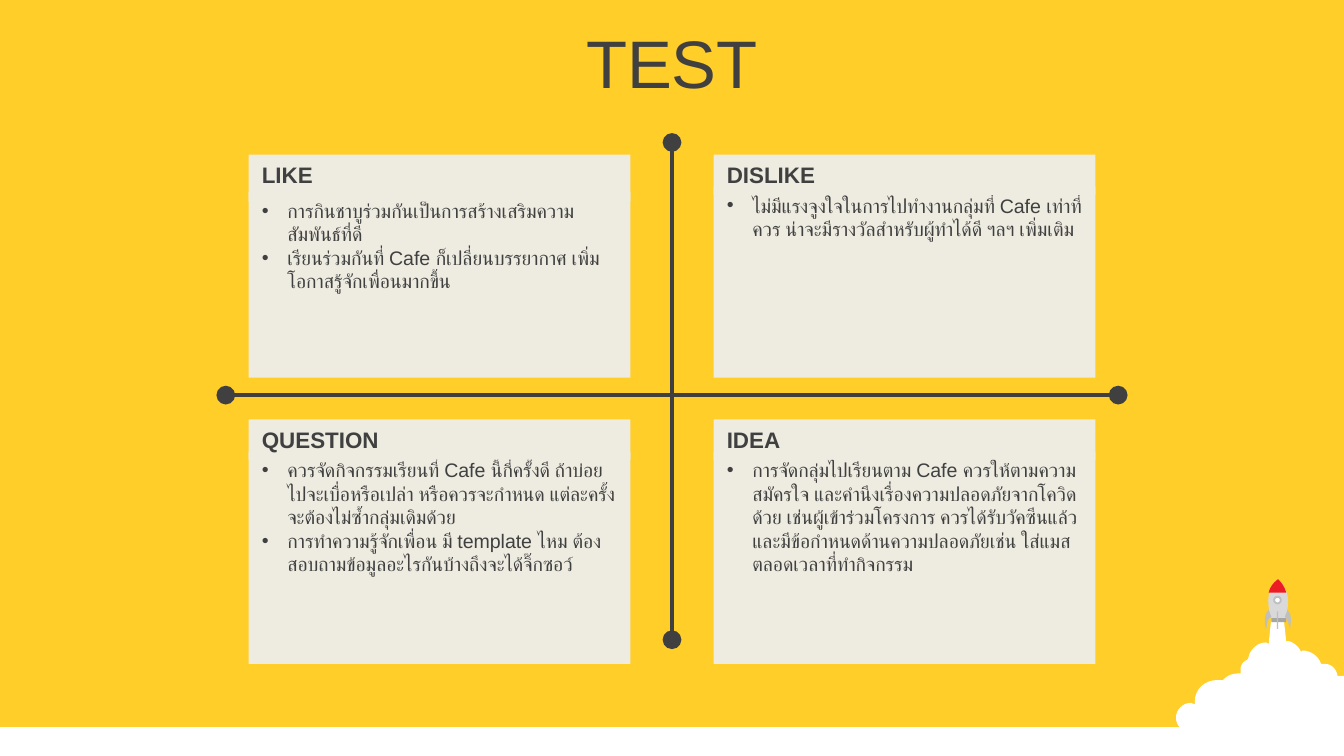
from lxml import etree
from pptx import Presentation
from pptx.dml.color import RGBColor
from pptx.enum.shapes import MSO_CONNECTOR, MSO_SHAPE
from pptx.enum.text import MSO_ANCHOR, PP_ALIGN
from pptx.oxml.ns import qn
from pptx.util import Inches, Pt

RECT, OVAL = MSO_SHAPE.RECTANGLE, MSO_SHAPE.OVAL
STRAIGHT = MSO_CONNECTOR.STRAIGHT
TOP, MIDDLE = MSO_ANCHOR.TOP, MSO_ANCHOR.MIDDLE
LEFT, CENTER = PP_ALIGN.LEFT, PP_ALIGN.CENTER

COLORS = {
    "yellow": "FFCE29", "ink": "404040", "card": "EEECE1", "white": "FFFFFF",
    "hull": "D9D9D9", "fin": "BFBFBF", "nozzle": "A6A6A6", "nose": "ED1C24",
}

# Outlines: a pair is a straight step, six numbers are a cubic curve.
CLOUD = [
    (9.46, 4.59), (9.55, 4.59), (9.57, 4.77), (9.59, 4.77),
    (9.62, 4.78, 9.65, 4.8, 9.67, 4.83), (9.68, 4.85), (9.69, 4.84),
    (9.75, 4.84, 9.81, 4.88, 9.83, 4.94), (9.84, 4.94), (9.86, 4.94),
    (9.9, 4.94, 9.94, 4.97, 9.95, 5.02), (9.95, 5.03), (10, 5.03), (10, 5.6),
    (9.98, 5.6), (9.94, 5.6, 9.9, 5.59, 9.87, 5.57), (9.85, 5.57),
    (9.83, 5.58, 9.81, 5.59, 9.78, 5.59), (9.75, 5.59, 9.73, 5.57, 9.71, 5.55),
    (9.69, 5.55), (9.67, 5.58, 9.64, 5.59, 9.6, 5.59),
    (9.57, 5.59, 9.54, 5.58, 9.52, 5.56), (9.49, 5.56),
    (9.45, 5.59, 9.4, 5.61, 9.34, 5.61), (9.23, 5.61, 9.17, 5.56, 9.13, 5.51),
    (9.11, 5.53, 9.07, 5.54, 9.04, 5.53), (9, 5.52, 8.94, 5.5, 8.93, 5.45),
    (8.92, 5.44), (8.91, 5.45, 8.89, 5.45, 8.86, 5.45),
    (8.8, 5.45, 8.75, 5.4, 8.75, 5.34), (8.75, 5.28, 8.8, 5.23, 8.86, 5.23),
    (8.89, 5.24), (8.89, 5.22), (8.89, 5.13, 8.96, 5.06, 9.06, 5.06),
    (9.1, 5.06), (9.11, 5.05), (9.14, 5.02, 9.18, 5.01, 9.23, 5.01),
    (9.23, 4.98), (9.23, 4.95, 9.25, 4.92, 9.28, 4.91), (9.29, 4.89),
    (9.3, 4.83, 9.36, 4.78, 9.42, 4.78), (9.44, 4.79),
]
HULL = [(9.46, 4.62), (9.44, 4.53, 9.4, 4.4, 9.51, 4.31),
        (9.62, 4.41, 9.58, 4.54, 9.56, 4.62)]
NOSE = [(9.51, 4.31), (9.54, 4.34, 9.56, 4.37, 9.57, 4.41), (9.44, 4.41),
        (9.45, 4.37, 9.47, 4.34, 9.51, 4.31)]
LEFT_FIN = [(9.44, 4.54), (9.46, 4.59), (9.42, 4.61, 9.43, 4.66, 9.42, 4.68),
            (9.41, 4.65, 9.4, 4.57, 9.44, 4.54)]
RIGHT_FIN = [(9.58, 4.54), (9.56, 4.59), (9.59, 4.61, 9.59, 4.66, 9.6, 4.68),
             (9.6, 4.65, 9.62, 4.57, 9.58, 4.54)]

CARD_X = (1.85, 5.31)
CARD_W = 2.84
# heading, column, heading top, heading height, body top, body bottom, bullets
CARDS = [
    ("LIKE", 0, 1.15, 0.35, 1.43, 2.81, [
        "การกินชาบูร่วมกันเป็นการสร้างเสริมความสัมพันธ์ที่ดี",
        "เรียนร่วมกันที่ Cafe ก็เปลี่ยนบรรยากาศ เพิ่มโอกาสรู้จักเพื่อนมากขึ้น"]),
    ("DISLIKE", 1, 1.15, 0.3, 1.39, 2.81, [
        "ไม่มีแรงจูงใจในการไปทำงานกลุ่มที่ Cafe เท่าที่ควร "
        "น่าจะมีรางวัลสำหรับผู้ทำได้ดี ฯลฯ เพิ่มเติม"]),
    ("QUESTION", 0, 3.12, 0.3, 3.36, 4.94, [
        "ควรจัดกิจกรรมเรียนที่ Cafe นี้กี่ครั้งดี ถ้าบ่อยไปจะเบื่อหรือเปล่า "
        "หรือควรจะกำหนด แต่ละครั้งจะต้องไม่ซ้ำกลุ่มเดิมด้วย",
        "การทำความรู้จักเพื่อน มี template ไหม "
        "ต้องสอบถามข้อมูลอะไรกันบ้างถึงจะได้จิ๊กซอว์"]),
    ("IDEA", 1, 3.12, 0.3, 3.36, 4.94, [
        "การจัดกลุ่มไปเรียนตาม Cafe ควรให้ตามความสมัครใจ "
        "และคำนึงเรื่องความปลอดภัยจากโควิดด้วย เช่นผู้เข้าร่วมโครงการ "
        "ควรได้รับวัคซีนแล้ว และมีข้อกำหนดด้านความปลอดภัยเช่น "
        "ใส่แมสตลอดเวลาที่ทำกิจกรรม"]),
]


def rgb(name):
    return RGBColor.from_string(COLORS[name])


def flatten(outline, steps=8):
    """Turn lines and cubic curves into a list of points."""
    points = [outline[0]]
    for step in outline[1:]:
        if len(step) == 2:
            points.append(step)
            continue
        knots = [points[-1], step[:2], step[2:4], step[4:]]
        for i in range(1, steps + 1):
            t = i / steps
            weights = ((1 - t) ** 3, 3 * t * (1 - t) ** 2, 3 * t * t * (1 - t), t ** 3)
            points.append(tuple(sum(w * k[axis] for w, k in zip(weights, knots))
                                for axis in (0, 1)))
    return points


class Deck:
    font = "Arial"

    def __init__(self, slide):
        self.slide = slide

    def paint(self, sp, fill, line=None):
        sp.shadow.inherit = False
        sp.fill.solid()
        sp.fill.fore_color.rgb = rgb(fill)
        if line:
            sp.line.color.rgb = rgb(line)
            sp.line.width = Pt(1)
        else:
            sp.line.fill.background()
        return sp

    def style(self, p, size, bold=False, align=LEFT):
        p.alignment = align
        p.font.name = self.font
        p.font.size = Pt(size)
        p.font.bold = bold
        p.font.color.rgb = rgb("ink")

    def title(self, text, x, y, w, h):
        sp = self.slide.shapes.title
        sp.left, sp.top, sp.width, sp.height = map(Inches, (x, y, w, h))
        sp.text_frame.text = text
        sp.text_frame.vertical_anchor = MIDDLE
        self.style(sp.text_frame.paragraphs[0], 36, align=CENTER)

    def shape(self, kind, x, y, w, h, fill, line=None):
        sp = self.slide.shapes.add_shape(kind, *map(Inches, (x, y, w, h)))
        return self.paint(sp, fill, line)

    def freeform(self, outline, fill):
        points = [(Inches(x), Inches(y)) for x, y in flatten(outline)]
        builder = self.slide.shapes.build_freeform(*points[0], scale=1.0)
        builder.add_line_segments(points[1:], close=True)
        self.paint(builder.convert_to_shape(), fill)

    def text_block(self, x, y, w, h, lines, size, bold=False, bullets=False):
        tf = self.shape(RECT, x, y, w, h, "card").text_frame
        tf.word_wrap = True
        tf.vertical_anchor = TOP
        tf.text = "\n".join(lines)
        for p in tf.paragraphs:
            self.style(p, size, bold)
            if bullets:
                pPr = p._p.get_or_add_pPr()
                pPr.set("marL", str(Inches(0.19)))
                pPr.set("indent", str(-Inches(0.19)))
                bullet_font = etree.Element(qn("a:buFont"), typeface=self.font)
                bullet = etree.Element(qn("a:buChar"), char="•")
                pPr.insert(0, bullet_font)
                bullet_font.addnext(bullet)

    def axis_arm(self, x1, y1, x2, y2):
        """Draw a line that ends in a dot."""
        arm = self.slide.shapes.add_connector(STRAIGHT, *map(Inches, (x1, y1, x2, y2)))
        arm.line.color.rgb = rgb("ink")
        arm.line.width = Pt(2)
        etree.SubElement(arm.line._get_or_add_ln(), qn("a:tailEnd"),
                         type="oval", w="lg", len="lg")
        etree.SubElement(arm._element.spPr, qn("a:effectLst"))


def draw_rocket(deck):
    deck.freeform(CLOUD, "white")
    deck.freeform(HULL, "hull")
    deck.shape(RECT, 9.46, 4.6, 0.11, 0.03, "nozzle")
    deck.freeform(NOSE, "nose")
    deck.shape(OVAL, 9.48, 4.44, 0.05, 0.05, "white", "fin")
    deck.shape(RECT, 9.5, 4.55, 0.01, 0.13, "fin")
    deck.freeform(LEFT_FIN, "fin")
    deck.freeform(RIGHT_FIN, "fin")


def main():
    prs = Presentation()
    prs.slide_width = Inches(10)
    prs.slide_height = prs.slide_width * 9 // 16
    s = prs.slides.add_slide(prs.slide_layouts[5])
    s.background.fill.solid()
    s.background.fill.fore_color.rgb = rgb("yellow")

    deck = Deck(s)
    deck.shape(RECT, 0, 5.41, 10, 0.24, "white")
    draw_rocket(deck)
    deck.title("TEST", 0, 0.14, 10, 0.63)

    for x in (8.32, 1.68):
        deck.axis_arm(5, 2.94, x, 2.94)
    for y in (1.06, 4.76):
        deck.axis_arm(5, 2.96, 5, y)

    for heading, column, top, height, body_top, bottom, bullets in CARDS:
        x = CARD_X[column]
        deck.text_block(x, body_top, CARD_W, bottom - body_top, bullets, 10.5, bullets=True)
        deck.text_block(x, top, CARD_W, height, [heading], 12, bold=True)

    prs.save("out.pptx")


if __name__ == "__main__":
    main()
